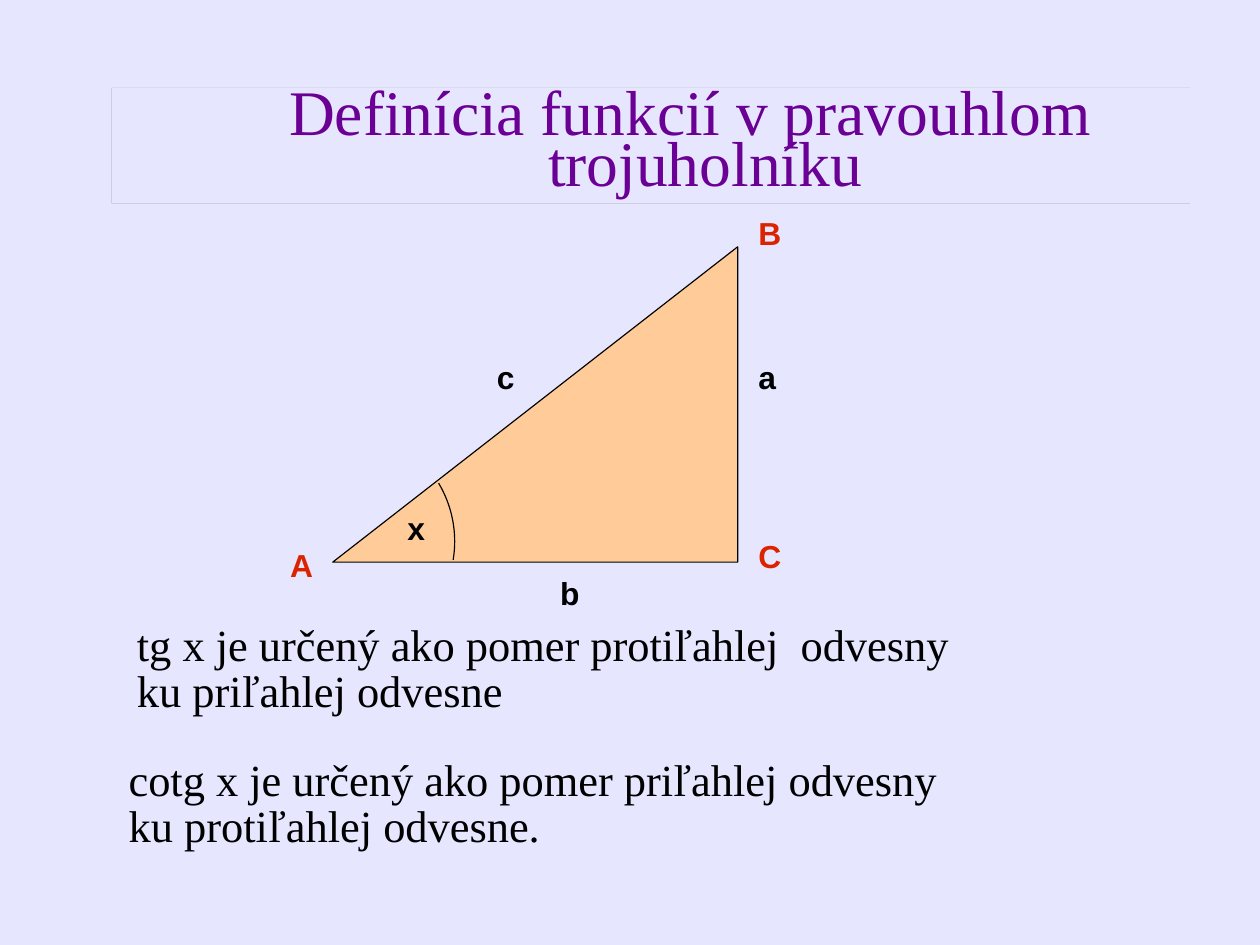
import pptx
import pptx.dml.color
import pptx.enum.shapes
import pptx.enum.text
import pptx.oxml
import pptx.oxml.ns
import pptx.util

RGBColor = pptx.dml.color.RGBColor
MSO_SHAPE = pptx.enum.shapes.MSO_SHAPE
PP_ALIGN = pptx.enum.text.PP_ALIGN
MSO_ANCHOR = pptx.enum.text.MSO_ANCHOR

LAVENDER = RGBColor(0xE6, 0xE6, 0xFF)
SHADOW_GREY = RGBColor(0x80, 0x80, 0x80)
PURPLE = RGBColor(0x6B, 0x00, 0x94)
PEACH = RGBColor(0xFF, 0xCC, 0x99)
RED = RGBColor(0xDC, 0x23, 0x00)
BLACK = RGBColor(0x00, 0x00, 0x00)


class TriangleSlide:
    TITLE = {"name": "Times New Roman", "size": pptx.util.Pt(40)}
    BODY = {"name": "Times New Roman", "size": pptx.util.Pt(28)}
    LABEL = {"name": "Arial", "size": pptx.util.Pt(20), "bold": True}

    def __init__(self, deck):
        self.width, self.height = deck.slide_width, deck.slide_height
        self.slide = deck.slides.add_slide(deck.slide_layouts[6])
        self.paint(self.slide.background, LAVENDER)

    def box(self, left, top, width, height):
        return [round(share * side / 100) for share, side in zip(
            (left, top, width, height), (self.width, self.height) * 2)]

    def paint(self, part, color):
        part.fill.solid()
        part.fill.fore_color.rgb = color

    def preset(self, kind, area, fill=None):
        shape = self.slide.shapes.add_shape(kind, *self.box(*area))
        shape.shadow.inherit = False
        shape.line.color.rgb = BLACK
        shape.line.width = pptx.util.Pt(0.75)
        if fill is None:
            shape.fill.background()
        else:
            self.paint(shape, fill)
        return shape

    def text(self, lines, area, style, color, spacing, indents=(),
             align=PP_ALIGN.LEFT, **frame_format):
        shape = self.slide.shapes.add_textbox(*self.box(*area))
        frame = shape.text_frame
        for name, value in {"word_wrap": True, **frame_format}.items():
            setattr(frame, name, value)
        frame.text = "\n".join(lines)
        for paragraph in frame.paragraphs:
            paragraph.alignment = align
            paragraph.line_spacing = spacing
            for name, value in style.items():
                setattr(paragraph.font, name, value)
            paragraph.font.color.rgb = color
        for paragraph, indent in zip(frame.paragraphs, indents):
            margin = round(indent * self.width / 100)
            paragraph._p.get_or_add_pPr().set("marL", str(margin))
        return shape

    def title(self, lines, area, indents):
        shape = self.text(
            lines, area, self.TITLE, PURPLE, 0.67, indents, PP_ALIGN.CENTER,
            vertical_anchor=MSO_ANCHOR.MIDDLE, margin_left=0,
            margin_right=0, margin_top=0, margin_bottom=0)
        self.paint(shape, LAVENDER)
        shape._element.spPr.append(pptx.oxml.parse_xml(
            f'<a:effectLst {pptx.oxml.ns.nsdecls("a")}>'
            '<a:outerShdw dist="0" dir="0" algn="ctr" rotWithShape="0">'
            f'<a:srgbClr val="{SHADOW_GREY}"/></a:outerShdw></a:effectLst>'))

    def label(self, letter, left, top, color):
        self.text([letter], (left, top, 5.08, 4.96), self.LABEL, color, 0.93)


def main():
    deck = pptx.Presentation()
    deck.slide_width = pptx.util.Cm(28)
    deck.slide_height = pptx.util.Cm(21)
    page = TriangleSlide(deck)

    page.title(["Definícia funkcií v pravouhlom", "trojuholníku"],
               (8.87, 9.31, 85.57, 12.21), indents=(6.2, 8.6))

    triangle = page.preset(MSO_SHAPE.RIGHT_TRIANGLE,
                           (26.41, 26.12, 32.14, 33.37), PEACH)
    triangle._element.spPr.xfrm.set("flipH", "1")

    right_column = 59.3
    for letter, left, top, color in (
            ("A", 22.14, 57.56, RED),
            ("C", right_column, 56.59, RED),
            ("B", right_column, 22.37, RED),
            ("b", 43.56, 60.46, BLACK),
            ("a", right_column, 37.61, BLACK),
            ("c", 38.55, 37.61, BLACK),
            ("x", 31.45, 53.57, BLACK)):
        page.label(letter, left, top, color)

    angle = page.preset(MSO_SHAPE.ARC, (17.94, 45.22, 18.15, 24.18))
    for index, degrees in enumerate((329.3, 9.3)):
        angle.adjustments[index] = degrees * 0.6

    for lines, left, top in (
            (["tg x je určený ako pomer protiľahlej  odvesny",
              "ku priľahlej odvesne"], 9.98, 65.54),
            (["cotg x je určený ako pomer priľahlej odvesny",
              "ku protiľahlej odvesne."], 9.32, 79.81)):
        page.text(lines, (left, top, 76.5, 11.25), page.BODY, BLACK, 0.86)

    deck.save("out.pptx")


if __name__ == "__main__":
    main()
